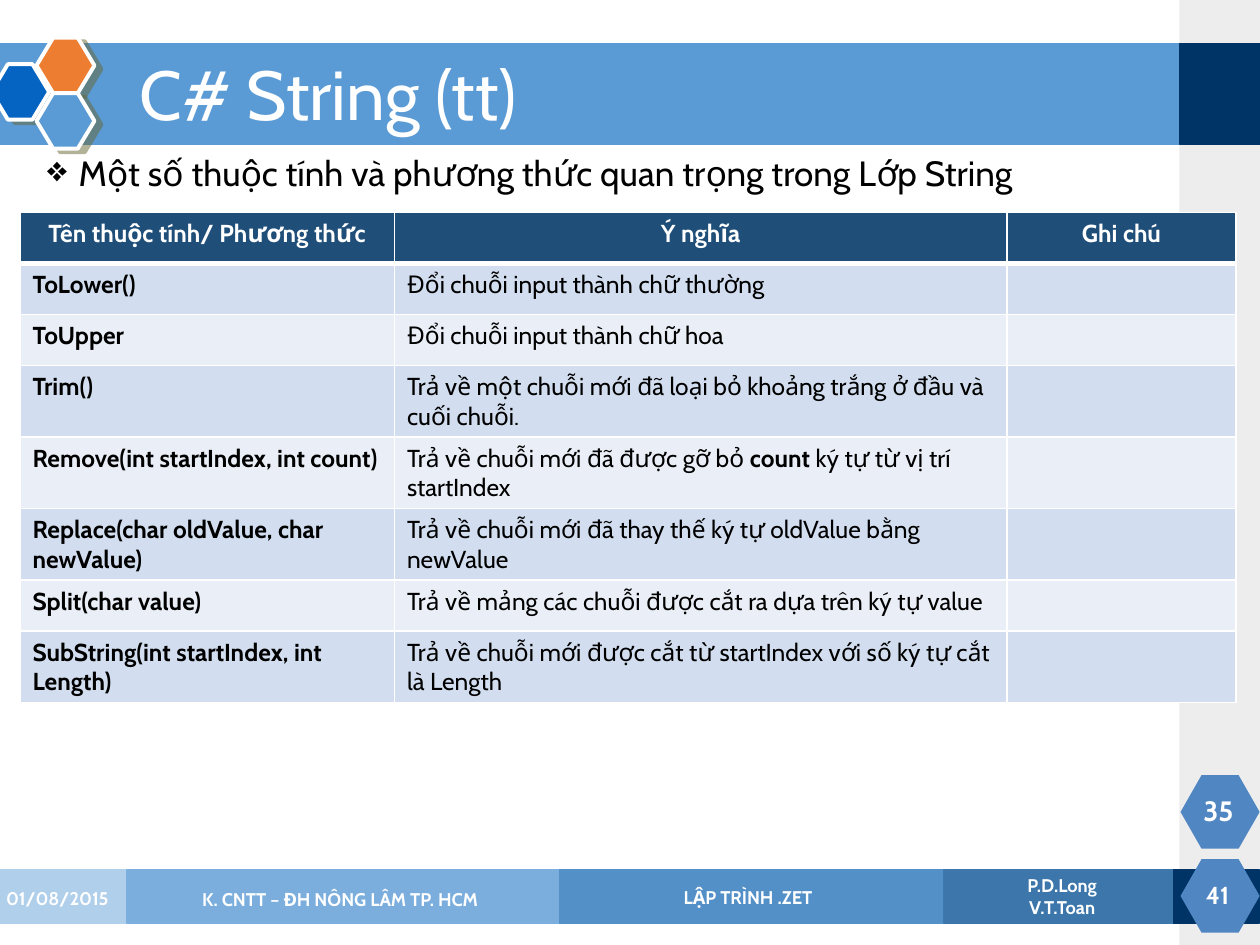
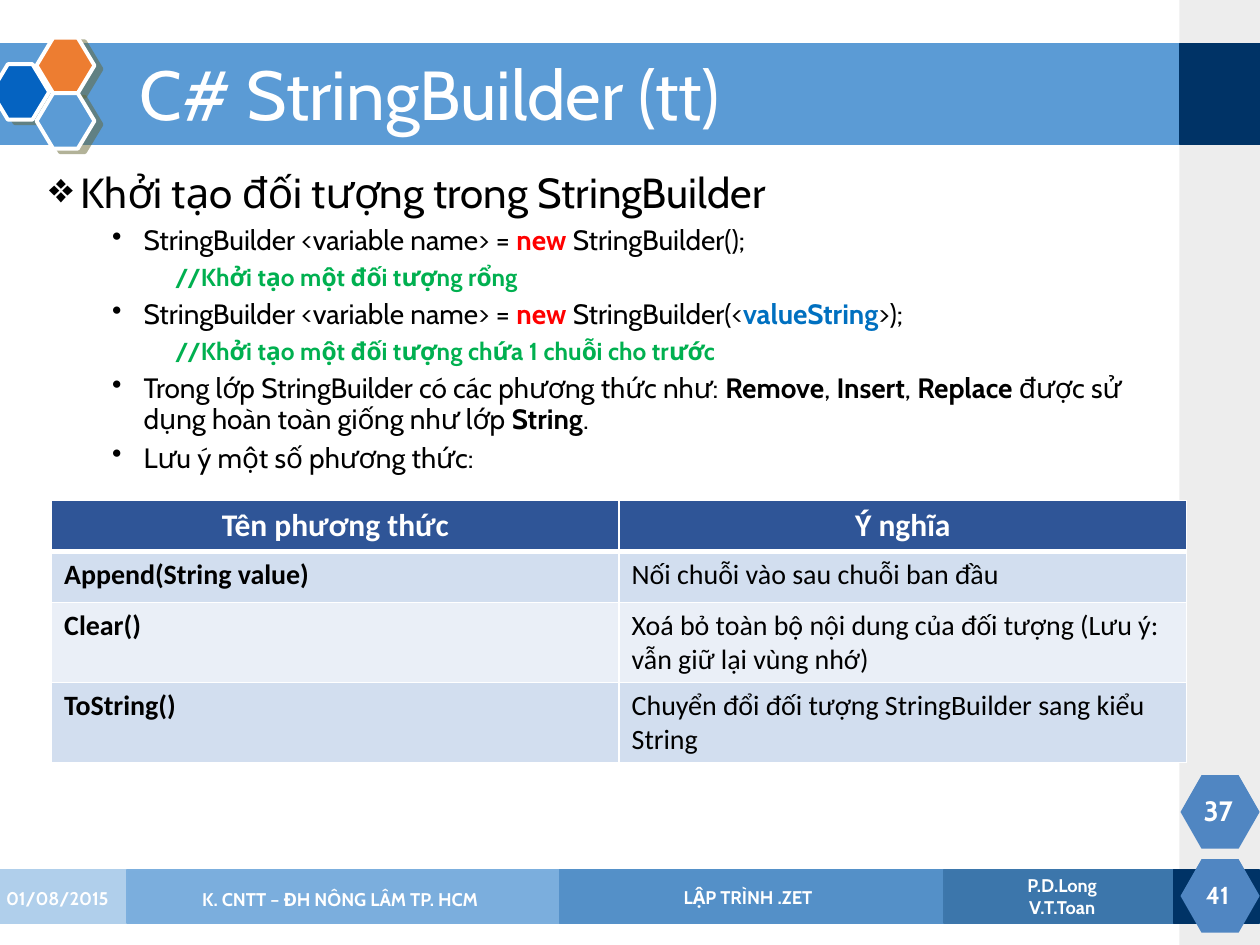
from lxml.etree import SubElement
from pptx import Presentation
from pptx.dml.color import RGBColor
from pptx.enum.shapes import MSO_SHAPE
from pptx.enum.text import MSO_ANCHOR, PP_ALIGN
from pptx.oxml.ns import qn
from pptx.util import Pt

FONT = "Cabin"
WHITE, BLACK, NAVY, BLUE = "FFFFFF", "000000", "003366", "5B9BD5"
RED, GREEN, AZURE = "FF0000", "00B050", "0070C0"
ROW_FILLS = ("EAEFF7", "D2DEEF")
FOOTER_TOP, FOOTER_HEIGHT = 497, 30.5

FOOTER_BANDS = [
    (-1.5, 721.5, "7CAFDE", 60, "B0CFEB"),
    (72.7, 646, "478FD1", 50, "7CAFDE"),
    (319.7, 400.3, "2E74B4", 50, "5591C9"),
    (539.3, 180, "255D8F", 50, "3D77AC"),
]
EMBLEM = [(-5, 36.7, "0563C1"), (20.9, 21.6, "ED7D31"), (20.9, 53.3, BLUE)]

STRING_ROWS = [
    ("ToLower()", "Đổi chuỗi input thành chữ thường", ""),
    ("ToUpper", "Đổi chuỗi input thành chữ hoa", ""),
    ("Trim()", "Trả về một chuỗi mới đã loại bỏ khoảng trắng ở đầu và cuối chuỗi.", ""),
    ("Remove(int startIndex, int count)",
     [("Trả về chuỗi mới đã được gỡ bỏ ", {}), ("count", {"bold": True}),
      (" ký tự từ vị trí startIndex", {})], ""),
    ("Replace(char oldValue, char newValue)",
     "Trả về chuỗi mới đã thay thế ký tự oldValue bằng newValue", ""),
    ("Split(char value)", "Trả về mảng các chuỗi được cắt ra dựa trên ký tự value", ""),
    ("SubString(int startIndex, int Length)",
     "Trả về chuỗi mới được cắt từ startIndex với số ký tự cắt là Length", ""),
]
BUILDER_ROWS = [
    ("Append(String value)", "Nối chuỗi vào sau chuỗi ban đầu"),
    ("Clear()", "Xoá bỏ toàn bộ nội dung của đối tượng (Lưu ý: vẫn giữ lại vùng nhớ)"),
    ("ToString()", "Chuyển đổi đối tượng StringBuilder sang kiểu String"),
]

NEW = ("new ", {"color": RED, "bold": True})
DECLARATION = ("StringBuilder <variable name> = ", {})
BUILDER_POINTS = [
    (0, "Khởi tạo đối tượng trong StringBuilder"),
    (1, [DECLARATION, NEW, ("StringBuilder();", {})]),
    (2, "//Khởi tạo một đối tượng rổng"),
    (1, [DECLARATION, NEW, ("StringBuilder(<", {}),
         ("valueString", {"color": AZURE, "bold": True}), (">);", {})]),
    (2, "//Khởi tạo một đối tượng chứa 1 chuỗi cho trước"),
    (1, [("Trong lớp StringBuilder có các phương thức như: ", {}),
         ("Remove", {"bold": True}), (", ", {}), ("Insert", {"bold": True}), (", ", {}),
         ("Replace", {"bold": True}), (" được sử dụng hoàn toàn giống như lớp ", {}),
         ("String", {"bold": True}), (".", {})]),
    (1, "Lưu ý một số phương thức:"),
]
LEVELS = [
    {"margin": 18, "indent": -18, "before": 10, "bullet": "❖"},
    {"margin": 54, "indent": -18, "before": 5, "bullet": "•"},
    {"margin": 72, "indent": 0, "before": 5, "bullet": None},
]
LEVEL_FONTS = [{}, {"size": 16}, {"size": 14, "color": GREEN, "bold": True}]


def rgb(color):
    return RGBColor.from_string(color)


def write(paragraph, text, size=14, color=BLACK, bold=False, font=FONT, align=None):
    paragraph.alignment = align
    pieces = [(text, {})] if isinstance(text, str) else text
    for words, own in pieces:
        run = paragraph.add_run()
        run.text = words
        run.font.name = font
        run.font.size = Pt(size)
        run.font.bold = own.get("bold", bold)
        run.font.color.rgb = rgb(own.get("color", color))


def add_panel(slide, left, top, width, height, fill, line=None, line_width=1,
              alpha=None, preset=MSO_SHAPE.RECTANGLE):
    panel = slide.shapes.add_shape(preset, Pt(left), Pt(top), Pt(width), Pt(height))
    panel.shadow.inherit = False
    panel.fill.solid()
    panel.fill.fore_color.rgb = rgb(fill)
    if alpha:
        tint = panel._element.spPr.find(qn("a:solidFill"))[0]
        SubElement(tint, qn("a:alpha"), val=str(alpha * 1000))
    if line:
        panel.line.color.rgb = rgb(line)
        panel.line.width = Pt(line_width)
    else:
        panel.line.fill.background()
    return panel


def add_hexagon(slide, left, top, width, height, fill, bend, **outline):
    hexagon = add_panel(slide, left, top, width, height, fill,
                        preset=MSO_SHAPE.HEXAGON, **outline)
    hexagon.adjustments[0] = bend
    return hexagon


def add_drop_shadow(panel):
    effects = panel._element.spPr.find(qn("a:effectLst"))
    shadow = SubElement(effects, qn("a:outerShdw"), dist=str(Pt(4.5)),
                        dir=str(27 * 60000), algn="ctr", rotWithShape="0")
    tint = SubElement(shadow, qn("a:srgbClr"), val="666633")
    SubElement(tint, qn("a:alpha"), val="50000")


def add_label(slide, left, top, width, height, *lines, size=10.5, align=PP_ALIGN.CENTER):
    frame = slide.shapes.add_textbox(Pt(left), Pt(top), Pt(width), Pt(height)).text_frame
    frame.word_wrap = True
    frame.vertical_anchor = MSO_ANCHOR.MIDDLE
    for index, line in enumerate(lines):
        paragraph = frame.add_paragraph() if index else frame.paragraphs[0]
        write(paragraph, line, size=size, color=WHITE, bold=True, align=align)


def add_points(slide, left, top, width, height, points, heading_size):
    frame = slide.shapes.add_textbox(Pt(left), Pt(top), Pt(width), Pt(height)).text_frame
    frame.word_wrap = True
    for index, (level, text) in enumerate(points):
        paragraph = frame.add_paragraph() if index else frame.paragraphs[0]
        style = LEVELS[level]
        paragraph.level = level
        paragraph.line_spacing = 0.9
        paragraph.space_before = Pt(style["before"])
        write(paragraph, text, **{"size": heading_size, **LEVEL_FONTS[level]})
        properties = paragraph._p.get_or_add_pPr()
        properties.set("marL", str(Pt(style["margin"])))
        properties.set("indent", str(Pt(style["indent"])))
        if style["bullet"]:
            SubElement(properties, qn("a:buChar"), char=style["bullet"])


def set_borders(cell, top, bottom):
    properties = cell._tc.get_or_add_tcPr()
    for side, width in (("L", 1), ("R", 1), ("T", top), ("B", bottom)):
        border = SubElement(properties, qn(f"a:ln{side}"), w=str(Pt(width)))
        SubElement(SubElement(border, qn("a:solidFill")), qn("a:srgbClr"), val=WHITE)


def add_method_table(slide, left, top, widths, headings, methods, header_fill,
                     row_height=29.2, header_size=14, size=14, font=FONT):
    rows = [headings, *methods]
    table = slide.shapes.add_table(len(rows), len(widths), Pt(left), Pt(top),
                                   Pt(sum(widths)), Pt(row_height * len(rows))).table
    for column, width in zip(table.columns, widths):
        column.width = Pt(width)
    for r, row in enumerate(rows):
        table.rows[r].height = Pt(row_height)
        for c, text in enumerate(row):
            cell = table.cell(r, c)
            set_borders(cell, top=3 if r == 1 else 1, bottom=1 if r else 3)
            cell.fill.solid()
            cell.fill.fore_color.rgb = rgb(ROW_FILLS[r % 2] if r else header_fill)
            paragraph = cell.text_frame.paragraphs[0]
            if r == 0:
                write(paragraph, text, size=header_size, color=WHITE, bold=True,
                      font=font, align=PP_ALIGN.CENTER)
            elif text:
                write(paragraph, text, size=size, bold=c == 0, font=font)


def add_frame(slide, number):
    add_panel(slide, 674, 0, 46, 540, "A7A7A7", alpha=20)
    for left, width, fill, alpha, line in FOOTER_BANDS:
        add_panel(slide, left, FOOTER_TOP, width, FOOTER_HEIGHT, fill, line, alpha=alpha)
    add_panel(slide, -1.5, 25.2, 675.5, 57, BLUE, BLUE)
    add_panel(slide, 674, 25.2, 46, 57, NAVY, NAVY)
    for left, top, fill in EMBLEM:
        add_drop_shadow(add_hexagon(slide, left, top, 33.1, 31.7, fill, 0.3,
                                    line=WHITE, line_width=2.25))
    add_panel(slide, 670.5, FOOTER_TOP, 49, FOOTER_HEIGHT, NAVY, NAVY)
    for top in (491, 443):
        add_hexagon(slide, 674.6, top, 45.2, 42, "5086C2", 0.286)
    add_label(slide, 679.5, 497, 32.5, 29, "41", size=14)
    add_label(slide, 543.5, 497.5, 127, 29, "P.D.Long", "V.T.Toan")
    add_label(slide, 321, 502.5, 213, 20, "LẬP TRÌNH .ZET")
    add_label(slide, -3.6, 498.5, 79, 29, "01/08/2015", align=PP_ALIGN.LEFT)
    add_label(slide, 72.7, 499, 243.4, 29, "K. CNTT – ĐH NÔNG LÂM TP. HCM")
    add_label(slide, 674.6, 448.7, 43.2, 29, number, size=16)


def add_slide(deck, heading, number):
    slide = deck.slides.add_slide(deck.slide_layouts[5])
    add_frame(slide, number)
    title = slide.shapes.title
    slide.shapes._spTree.append(title._element)
    title.left, title.top, title.width, title.height = Pt(72.7), Pt(28.8), Pt(597.6), Pt(54)
    title.text_frame.vertical_anchor = MSO_ANCHOR.MIDDLE
    paragraph = title.text_frame.paragraphs[0]
    paragraph.line_spacing = 0.9
    write(paragraph, heading, size=39.6, color=WHITE, align=PP_ALIGN.LEFT)
    return slide


def main():
    deck = Presentation()
    deck.slide_width, deck.slide_height = Pt(720), Pt(540)

    string_slide = add_slide(deck, "C# String (tt)", "35")
    add_points(string_slide, 19.8, 85.7, 657.4, 404.6,
               [(0, "Một số thuộc tính và phương thức quan trọng trong Lớp String")], 20)
    add_method_table(string_slide, 11.4, 121.3, (214, 350, 131),
                     ("Tên thuộc tính/ Phương thức", "Ý nghĩa", "Ghi chú"),
                     STRING_ROWS, "1F4E79")

    builder_slide = add_slide(deck, "C# StringBuilder (tt)", "37")
    add_points(builder_slide, 21, 95, 657.4, 391.7, BUILDER_POINTS, 24)
    add_method_table(builder_slide, 29.5, 286, (324.3, 324.3),
                     ("Tên phương thức", "Ý nghĩa"), BUILDER_ROWS, "2F5597",
                     header_size=18, size=16, font="Calibri")

    deck.save("out.pptx")


if __name__ == "__main__":
    main()
